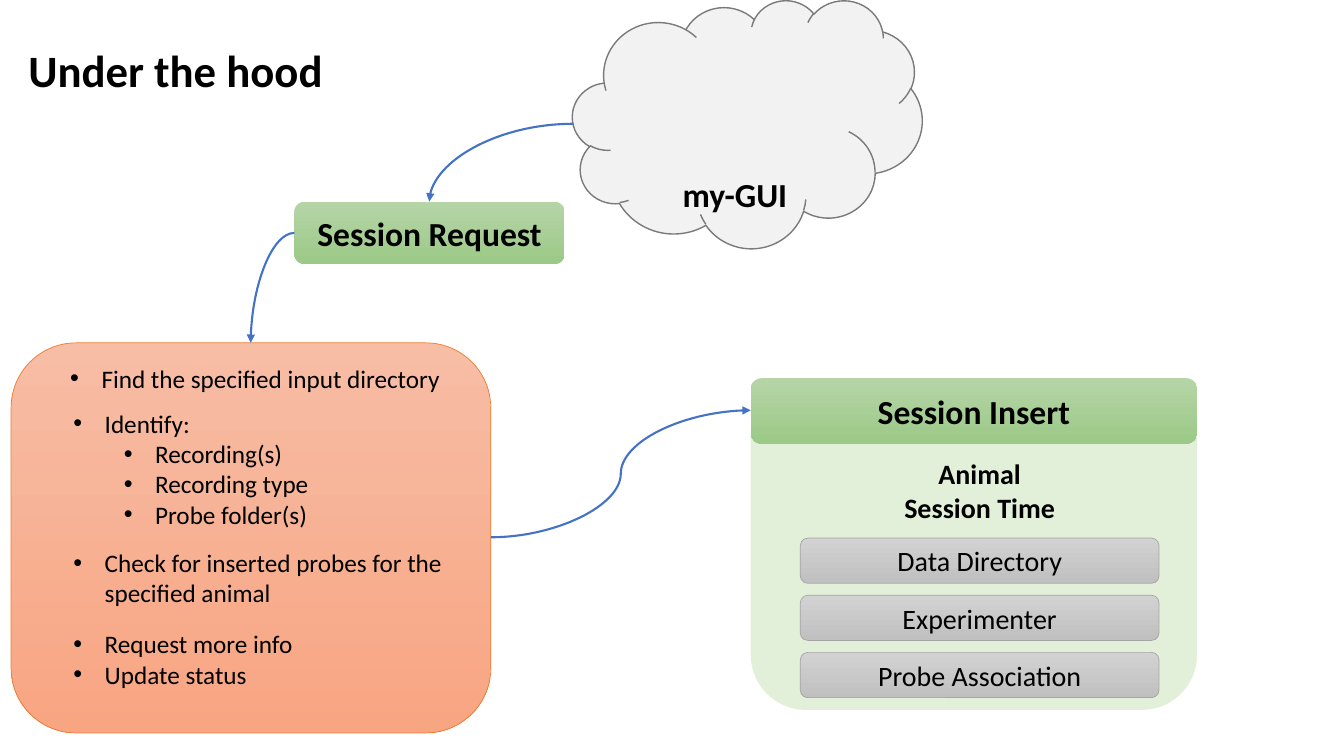
from pptx import Presentation
from pptx.dml.color import RGBColor
from pptx.enum.shapes import MSO_CONNECTOR, MSO_SHAPE as SHAPE
from pptx.enum.text import MSO_ANCHOR as ANCHOR, PP_ALIGN as ALIGN
from pptx.oxml.ns import qn
from pptx.util import Cm, Pt
from lxml import etree

BLACK = RGBColor(0x00, 0x00, 0x00)
BLUE = RGBColor(0x44, 0x72, 0xC4)
CLOUD_FILL = RGBColor(0xF2, 0xF2, 0xF2)
CLOUD_LINE = RGBColor(0x7A, 0x7A, 0x7A)
PALE_GREEN = RGBColor(0xE2, 0xF0, 0xD9)
GREENS = RGBColor(0xB5, 0xD5, 0xA7), RGBColor(0x9C, 0xC9, 0x87)
ORANGES = RGBColor(0xF7, 0xBD, 0xA5), RGBColor(0xF8, 0xA5, 0x82)
GREYS = RGBColor(0xD2, 0xD2, 0xD2), RGBColor(0xC0, 0xC0, 0xC0)
ORANGE_LINE = RGBColor(0xED, 0x7D, 0x31)
GREY_LINE = RGBColor(0xA5, 0xA5, 0xA5)

prs = Presentation()
prs.slide_width, prs.slide_height = Cm(33.87), Cm(19.05)
s = prs.slides.add_slide(prs.slide_layouts[5])


def write(sp, text, size, bold=False, align=ALIGN.CENTER):
    tf = sp.text_frame
    tf.word_wrap = True
    tf.text = text
    for p in tf.paragraphs:
        p.alignment = align
        for r in p.runs:
            r.font.name, r.font.size, r.font.bold = "Calibri", Pt(size), bold
            r.font.color.rgb = BLACK


def add_box(kind, box, colors, line=None, width=0.5):
    sp = s.shapes.add_shape(kind, *[Cm(v) for v in box])
    sp.shadow.inherit = False
    if len(colors) == 1:
        sp.fill.solid()
        sp.fill.fore_color.rgb = colors[0]
    else:
        sp.fill.gradient()
        sp.fill.gradient_angle = 270
        for stop, color in zip(sp.fill.gradient_stops, colors):
            stop.color.rgb = color
    if line is None:
        sp.line.fill.background()
    else:
        sp.line.color.rgb, sp.line.width = line, Pt(width)
    sp.text_frame.vertical_anchor = ANCHOR.MIDDLE
    return sp


# Title
title = s.shapes.title
title.left, title.top, title.width, title.height = Cm(0.46), Cm(0), Cm(29.21), Cm(3.68)
write(title, "Under the hood", 32, True, ALIGN.LEFT)
title.text_frame.vertical_anchor = ANCHOR.MIDDLE
title.text_frame.paragraphs[0].line_spacing = 0.9

# Cloud, with its label in the lower part
cloud = add_box(SHAPE.CLOUD, (14.43, 0, 8.81, 6.25), [CLOUD_FILL], CLOUD_LINE, 1)
write(cloud, "my-GUI", 24, True)
cloud.text_frame.margin_top, cloud.text_frame.margin_bottom = Cm(3.82), Cm(0)

# Session request
request = add_box(SHAPE.ROUNDED_RECTANGLE, (7.42, 5.08, 6.81, 1.57), GREENS)
write(request, "Session Request", 24, True)

# Processing steps: left, top, width, height, (level, text) items
add_box(SHAPE.ROUNDED_RECTANGLE, (0.28, 8.64, 12.09, 9.83), ORANGES, ORANGE_LINE)
STEPS = [
    (1.52, 9.02, 9.96, 1.02, [(0, "Find the specified input directory")]),
    (1.6, 10.16, 9.55, 4.11, [(0, "Identify:"), (1, "Recording(s)"),
                              (1, "Recording type"), (1, "Probe folder(s)")]),
    (1.6, 13.67, 10.34, 1.8, [(0, "Check for inserted probes for the specified animal")]),
    (1.6, 15.72, 10.34, 1.8, [(0, "Request more info"), (0, "Update status")]),
]
for left, top, width, height, items in STEPS:
    steps = s.shapes.add_textbox(Cm(left), Cm(top), Cm(width), Cm(height))
    write(steps, "\n".join(text for _, text in items), 18, align=ALIGN.LEFT)
    for p, (level, _) in zip(steps.text_frame.paragraphs, items):
        p.level = level
        pPr = p._p.get_or_add_pPr()
        pPr.set("marL", str(Cm(0.79 + 1.27 * level)))
        pPr.set("indent", str(-Cm(0.79)))
        etree.SubElement(pPr, qn("a:buFont")).set("typeface", "Arial")
        etree.SubElement(pPr, qn("a:buChar")).set("char", "•")

# Session insert panel
add_box(SHAPE.ROUNDED_RECTANGLE, (18.92, 9.53, 11.25, 8.36), [PALE_GREEN])
header = add_box(SHAPE.ROUNDED_RECTANGLE, (18.92, 9.53, 11.25, 1.65), GREENS)
write(header, "Session Insert", 24, True)
keys = s.shapes.add_textbox(Cm(20.17), Cm(11.38), Cm(9.04), Cm(1.96))
write(keys, "Animal\nSession Time", 20, True)
for i, name in enumerate(["Data Directory", "Experimenter", "Probe Association"]):
    part = add_box(SHAPE.ROUNDED_RECTANGLE, (20.17, 13.56 + 1.44 * i, 9.04, 1.14),
                   GREYS, GREY_LINE)
    write(part, name, 20)

# Curved arrows: preset, start and end
ARROWS = [
    ("curvedConnector2", 14.45, 3.12, 10.82, 5.08),
    ("curvedConnector2", 7.42, 5.87, 6.32, 8.64),
    ("curvedConnector3", 12.37, 13.54, 18.92, 10.34),
]
for preset, *ends in ARROWS:
    arrow = s.shapes.add_connector(MSO_CONNECTOR.CURVE, *[Cm(v) for v in ends])
    arrow.line.color.rgb, arrow.line.width = BLUE, Pt(1.5)
    spPr = arrow._element.spPr
    spPr.find(qn("a:prstGeom")).set("prst", preset)
    etree.SubElement(spPr.find(qn("a:ln")), qn("a:tailEnd")).set("type", "triangle")
    etree.SubElement(spPr, qn("a:effectLst"))

prs.save("out.pptx")
